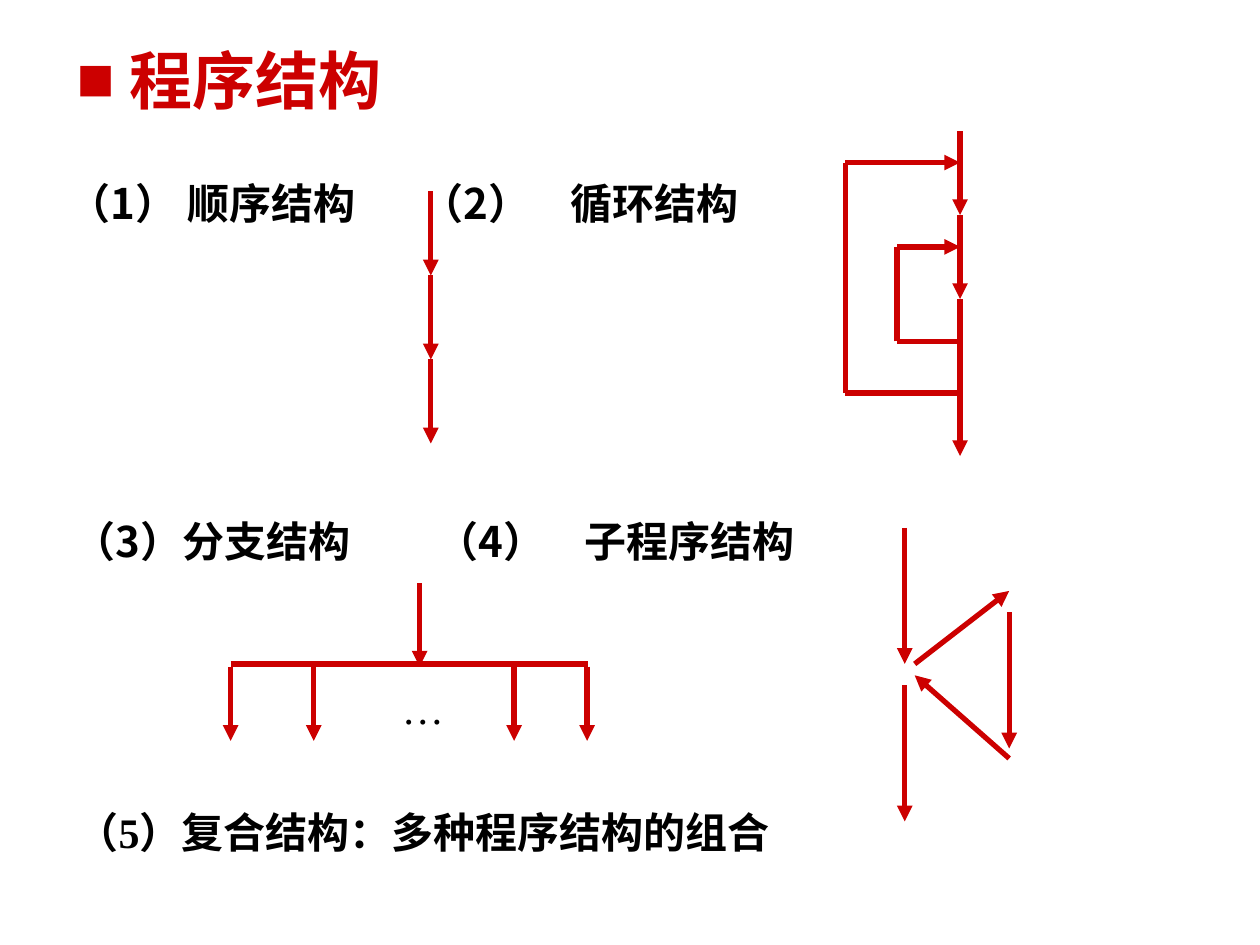
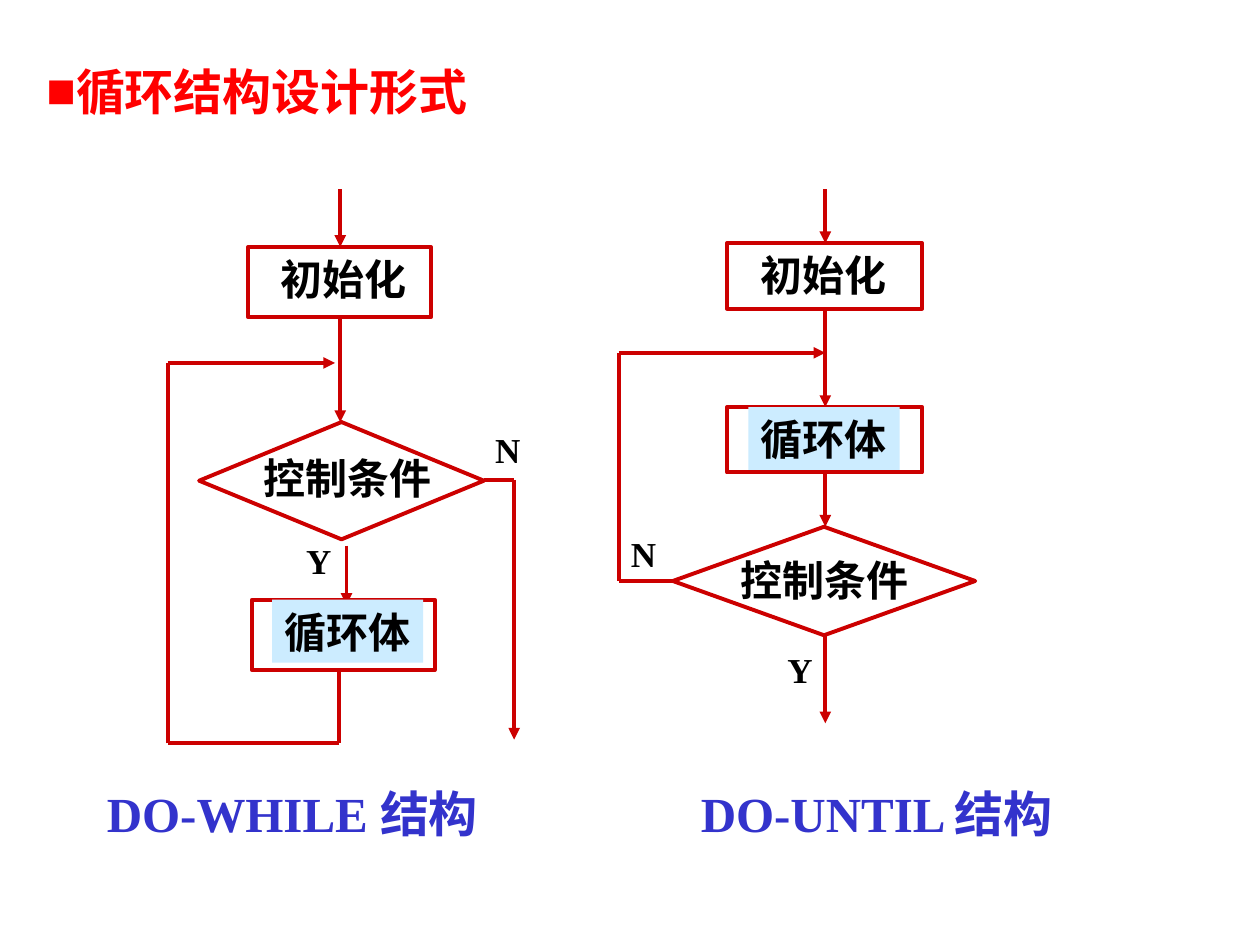
from dataclasses import dataclass

import lxml.etree
import pptx
import pptx.dml.color
import pptx.enum.shapes
import pptx.enum.text
import pptx.oxml.ns
import pptx.util

Pt = pptx.util.Pt
qn = pptx.oxml.ns.qn
Shape = pptx.enum.shapes.MSO_SHAPE
SERIF, SANS = "Times New Roman", "Noto Sans CJK SC"
RED, BRIGHT_RED, BLUE, PALE_BLUE, BLACK = "CC0000", "FF0000", "3333CC", "CCECFF", "000000"


@dataclass
class Route:
    points: list[tuple[float, float]]
    arrow: bool = True


@dataclass
class Step:
    text: str
    kind: Shape
    box: tuple[float, float, float, float]
    label: tuple[float, float, float]
    fill: str | None = None


@dataclass
class Note:
    text: str
    x: float
    y: float


def color(value: str) -> pptx.dml.color.RGBColor:
    return pptx.dml.color.RGBColor.from_string(value)


def add_text(s, text: str, x: float, y: float, w: float, h: float, *, size: float = 24,
             font: str = SERIF, rgb: str = BLACK, bold: bool = True, wrap: bool = True,
             fill: str | None = None, tabs: tuple[float, ...] = (), hang: float = 0) -> None:
    sp = s.shapes.add_textbox(Pt(x), Pt(y), Pt(w), Pt(h))
    if fill:
        sp.fill.solid()
        sp.fill.fore_color.rgb = color(fill)
    tf = sp.text_frame
    tf.word_wrap = wrap
    tf.vertical_anchor = pptx.enum.text.MSO_ANCHOR.MIDDLE
    p = tf.paragraphs[0]
    r = p.add_run()
    r.text = text
    r.font.name, r.font.size, r.font.bold = font, Pt(size), bold
    r.font.color.rgb = color(rgb)
    ea = lxml.etree.SubElement(r.font._element, qn("a:ea"))
    ea.set("typeface", SANS)
    ppr = p._p.get_or_add_pPr()
    if hang:
        ppr.set("marL", str(Pt(hang)))
        ppr.set("indent", str(-Pt(hang)))
        bullet_color = lxml.etree.SubElement(ppr, qn("a:buClr"))
        lxml.etree.SubElement(bullet_color, qn("a:srgbClr")).set("val", rgb)
        lxml.etree.SubElement(ppr, qn("a:buFont")).set("typeface", SERIF)
        lxml.etree.SubElement(ppr, qn("a:buChar")).set("char", "■")
    if tabs:
        stops = lxml.etree.SubElement(ppr, qn("a:tabLst"))
        for pos in tabs:
            stop = lxml.etree.SubElement(stops, qn("a:tab"))
            stop.set("pos", str(Pt(pos)))
            stop.set("algn", "l")


def add_route(s, route: Route, width: float) -> None:
    legs = list(zip(route.points, route.points[1:]))
    for i, (start, end) in enumerate(legs):
        sp = s.shapes.add_connector(pptx.enum.shapes.MSO_CONNECTOR.STRAIGHT,
                                    *(Pt(v) for v in start + end))
        sp.line.color.rgb = color(RED)
        sp.line.width = Pt(width)
        if route.arrow and i == len(legs) - 1:
            tail = lxml.etree.SubElement(sp.line._get_or_add_ln(), qn("a:tailEnd"))
            tail.set("type", "triangle")
        lxml.etree.SubElement(sp._element.spPr, qn("a:effectLst"))


def add_step(s, step: Step) -> None:
    sp = s.shapes.add_shape(step.kind, *(Pt(v) for v in step.box))
    sp.shadow.inherit = False
    sp.fill.background()
    sp.line.color.rgb = color(RED)
    sp.line.width = Pt(2.24)
    x, y, w = step.label
    add_text(s, step.text, x, y, w, 36, wrap=False, fill=step.fill)


def add_flow(s, routes: list[Route], steps: list[Step], notes: list[Note]) -> None:
    for route in routes:
        add_route(s, route, 2.24)
    for step in steps:
        add_step(s, step)
    for note in notes:
        add_text(s, note.text, note.x, note.y, 42, 31.7, size=20)


def chain(x: float, *ys: float) -> list[Route]:
    return [Route([(x, a), (x, b)]) for a, b in zip(ys, ys[1:])]


def back_edge(x: float, side: float, bottom: float, top: float) -> Route:
    return Route([(x, bottom), (side, bottom), (side, top), (x, top)])


def structures_slide(prs) -> None:
    s = prs.slides.add_slide(prs.slide_layouts[6])
    add_text(s, "程序结构", 36.7, 20.2, 282, 50.4, size=36, rgb=RED, hang=30)
    add_text(s, "（1） 顺序结构\t（2）\t循环结构", 32.2, 97.9, 464, 36, font=SANS,
             tabs=(201.7, 286.9))
    add_text(s, "（3）分支结构\t（4）\t子程序结构", 35.1, 290.9, 546, 36, font=SANS,
             tabs=(207.4, 292))
    add_text(s, "（5）复合结构：多种程序结构的组合", 36.7, 457.2, 460, 36)
    add_text(s, "…", 222.5, 386.6, 48, 36, bold=False)

    sequence = chain(246.2, *(109.4 + 48 * i for i in range(4)))
    main = 548.6
    loops = chain(main, 74.9, 122.9, 170.9, 260.6) + [
        back_edge(main, 512.6, 195.1, 141.1),
        back_edge(main, 483.1, 224.6, 92.9),
    ]
    branches = [Route([(131.8, 379.4), (336.2, 379.4)], arrow=False)]
    branches += chain(239.8, 333.4, 380.9)
    for x in (131.8, 179.3, 293.8, 335.5):
        branches += chain(x, 380.9, 423.4)
    caller, sub = 517, 576.7
    subroutine = (chain(caller, 301.7, 379.4) + chain(caller, 391.7, 469.4)
                  + chain(sub, 349.9, 427.7))
    subroutine += [Route([(522.7, 379.4), (sub, 337.7)]),
                   Route([(sub, 433.4), (522.7, 385.9)])]
    for route in sequence + loops + branches + subroutine:
        add_route(s, route, 3)


def loops_slide(prs) -> None:
    s = prs.slides.add_slide(prs.slide_layouts[6])
    add_text(s, "循环结构设计形式", 19.4, 31.7, 297, 41, size=28, rgb=BRIGHT_RED, hang=17)
    add_text(s, "DO-WHILE 结构\tDO-UNTIL 结构", 54, 444.2, 576, 41, size=28, rgb=BLUE,
             tabs=(339.4,))

    x = 194.4
    add_flow(s, [
        *chain(x, 108, 141.1),
        *chain(x, 181.4, 241.2),
        *chain(198, 311.8, 345.6),
        Route([(193.7, 383.8), (193.7, 424.8), (95.8, 424.8), (95.8, 207.4), (191.5, 207.4)]),
        Route([(276.5, 274.3), (293.8, 274.3), (293.8, 422.6)]),
    ], [
        Step("初始化", Shape.RECTANGLE, (141.8, 141.1, 104.4, 40.3), (153.4, 141.1, 86.4)),
        Step("控制条件", Shape.DIAMOND, (113.8, 241.2, 162.7, 67), (143.3, 254.9, 110.2)),
        Step("循环体", Shape.RECTANGLE, (144, 342.7, 104.4, 40.3), (155.5, 342.7, 86.4),
             PALE_BLUE),
    ], [Note("Y", 167.8, 304.6), Note("N", 275.8, 241.2)])

    x = 471.6
    add_flow(s, [
        *chain(x, 108, 139),
        *chain(x, 176.4, 232.6),
        *chain(x, 270, 301),
        *chain(x, 363.6, 413.3),
        Route([(384.5, 331.9), (353.5, 331.9), (353.5, 201.6), (x, 201.6)]),
    ], [
        Step("初始化", Shape.RECTANGLE, (415.4, 139, 111.6, 37.4), (427.7, 139, 86.4)),
        Step("循环体", Shape.RECTANGLE, (415.4, 232.6, 111.6, 37.4), (427.7, 232.6, 86.4),
             PALE_BLUE),
        Step("控制条件", Shape.DIAMOND, (384.5, 301, 172.8, 62), (416.2, 313.2, 110.2)),
    ], [Note("Y", 442.8, 366.5), Note("N", 353.5, 300.2)])


def main() -> None:
    prs = pptx.Presentation()
    prs.slide_width, prs.slide_height = Pt(720), Pt(540)
    structures_slide(prs)
    loops_slide(prs)
    prs.save("out.pptx")


main()
